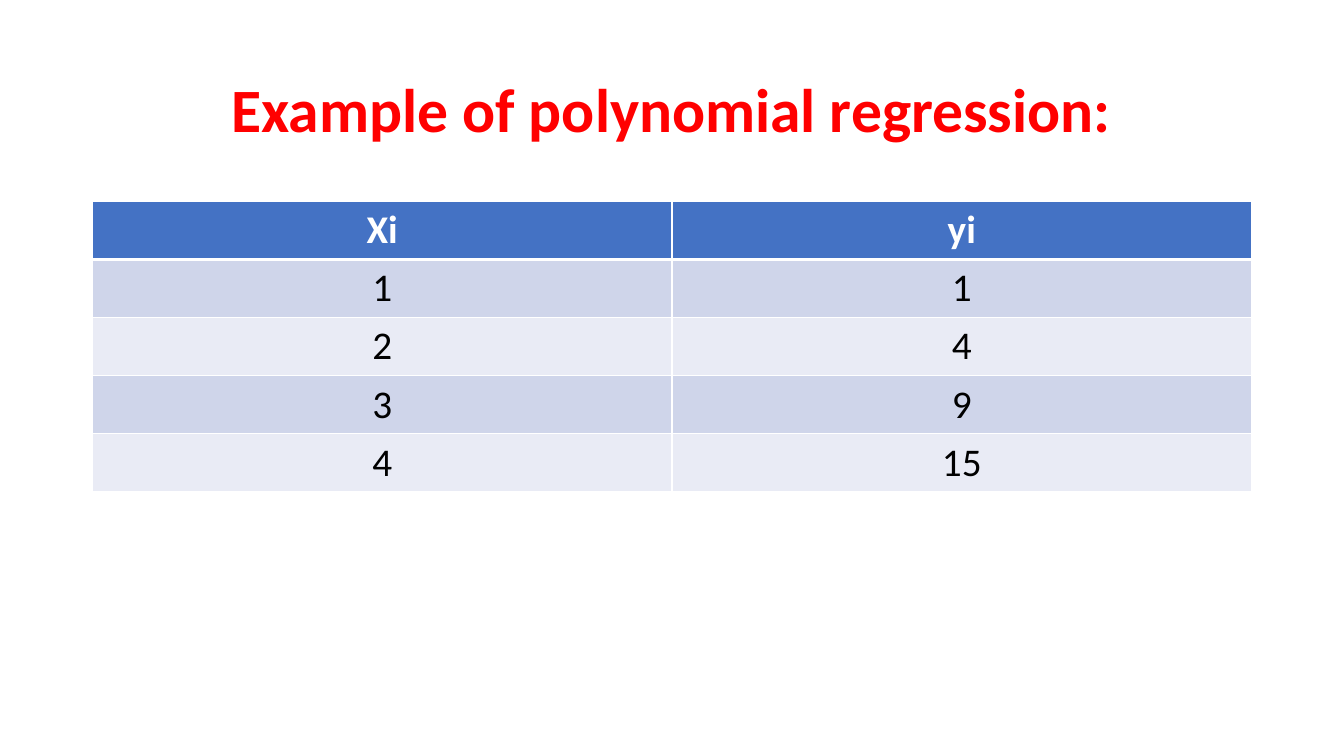
from dataclasses import dataclass

from lxml.etree import SubElement
from pptx import Presentation
from pptx.dml.color import RGBColor
from pptx.enum.text import MSO_ANCHOR, PP_ALIGN
from pptx.oxml.ns import qn
from pptx.util import Pt

PX = 9525


@dataclass
class Theme:
    font: str = "Calibri"
    title: str = "FF0000"
    header: str = "4472C4"
    header_text: str = "FFFFFF"
    body_text: str = "000000"
    bands: tuple = ("CFD5EA", "E9EBF5")
    border: str = "FFFFFF"
    title_size: int = 44
    table_size: int = 28


theme = Theme()


def style_paragraph(para, size, color, bold):
    para.alignment = PP_ALIGN.CENTER
    para.font.name = theme.font
    para.font.size = Pt(size)
    para.font.bold = bold
    para.font.color.rgb = RGBColor.from_string(color)


def add_border(cell, side, width):
    properties = cell._tc.get_or_add_tcPr()
    line = SubElement(properties, qn(f"a:ln{side}"), w=str(Pt(width)))
    fill = SubElement(line, qn("a:solidFill"))
    SubElement(fill, qn("a:srgbClr"), val=theme.border)


deck = Presentation()
deck.slide_width = 1280 * PX
deck.slide_height = 720 * PX
page = deck.slides.add_slide(deck.slide_layouts[5])

left, width = 88 * PX, 1104 * PX

title = page.shapes.title
title.left, title.top, title.width, title.height = left, 38 * PX, width, 139 * PX
title.text_frame.text = "Example of polynomial regression:"
title.text_frame.vertical_anchor = MSO_ANCHOR.MIDDLE
title.text_frame.word_wrap = True
heading = title.text_frame.paragraphs[0]
heading.line_spacing = 0.9
style_paragraph(heading, theme.title_size, theme.title, True)

samples = [("Xi", "yi"), ("1", "1"), ("2", "4"), ("3", "9"), ("4", "15")]
row_height = 54 * PX
table = page.shapes.add_table(
    len(samples), 2, left, 192 * PX, width, row_height * len(samples)
).table

for row, values in enumerate(samples):
    is_header = row == 0
    background = theme.header if is_header else theme.bands[(row - 1) % 2]
    text_color = theme.header_text if is_header else theme.body_text
    borders = {"L": 1, "R": 1, "T": 3 if row == 1 else 1, "B": 3 if is_header else 1}
    for column, value in enumerate(values):
        cell = table.cell(row, column)
        cell.text = value
        style_paragraph(
            cell.text_frame.paragraphs[0], theme.table_size, text_color, is_header
        )
        for side, thickness in borders.items():
            add_border(cell, side, thickness)
        cell.fill.solid()
        cell.fill.fore_color.rgb = RGBColor.from_string(background)

deck.save("out.pptx")
